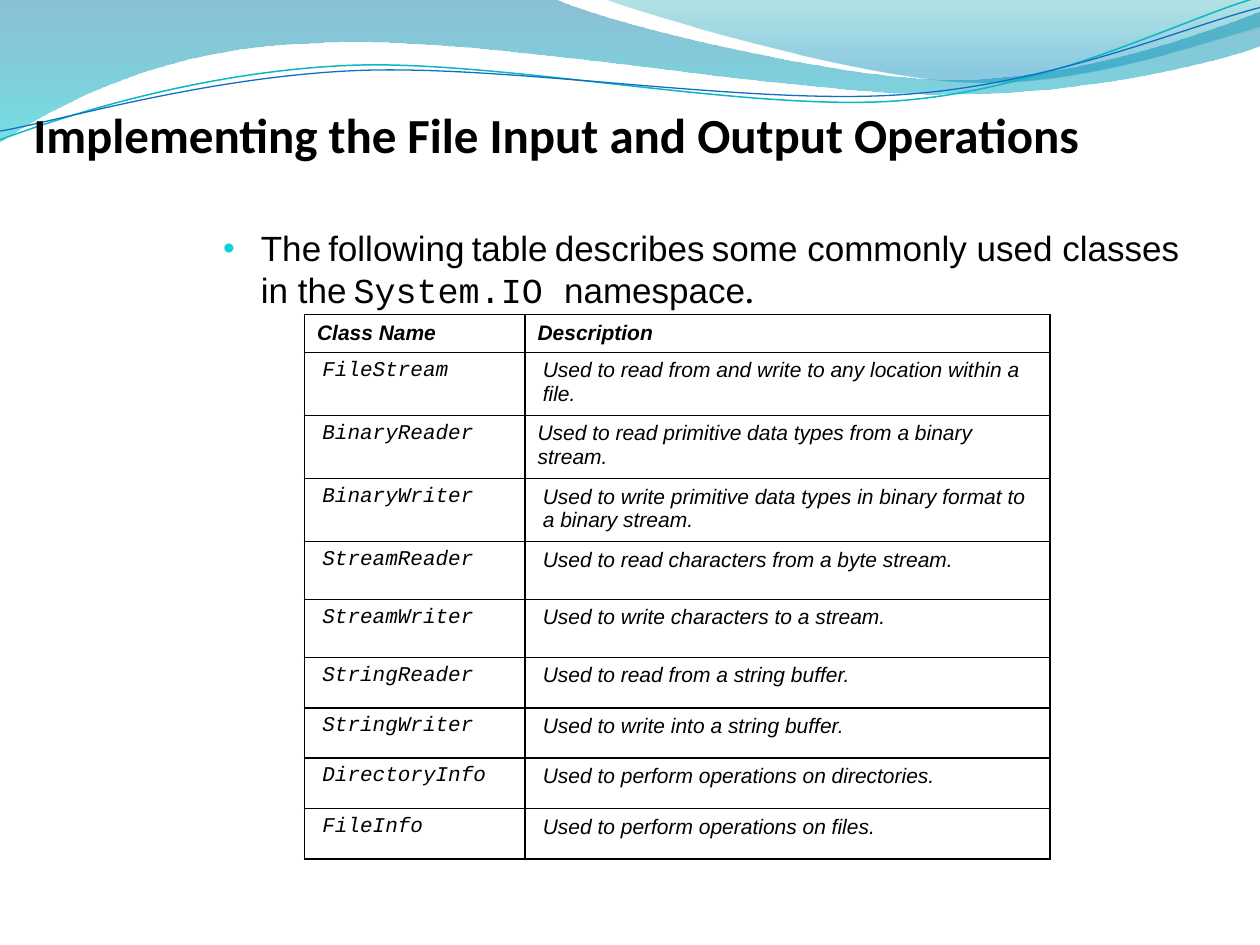
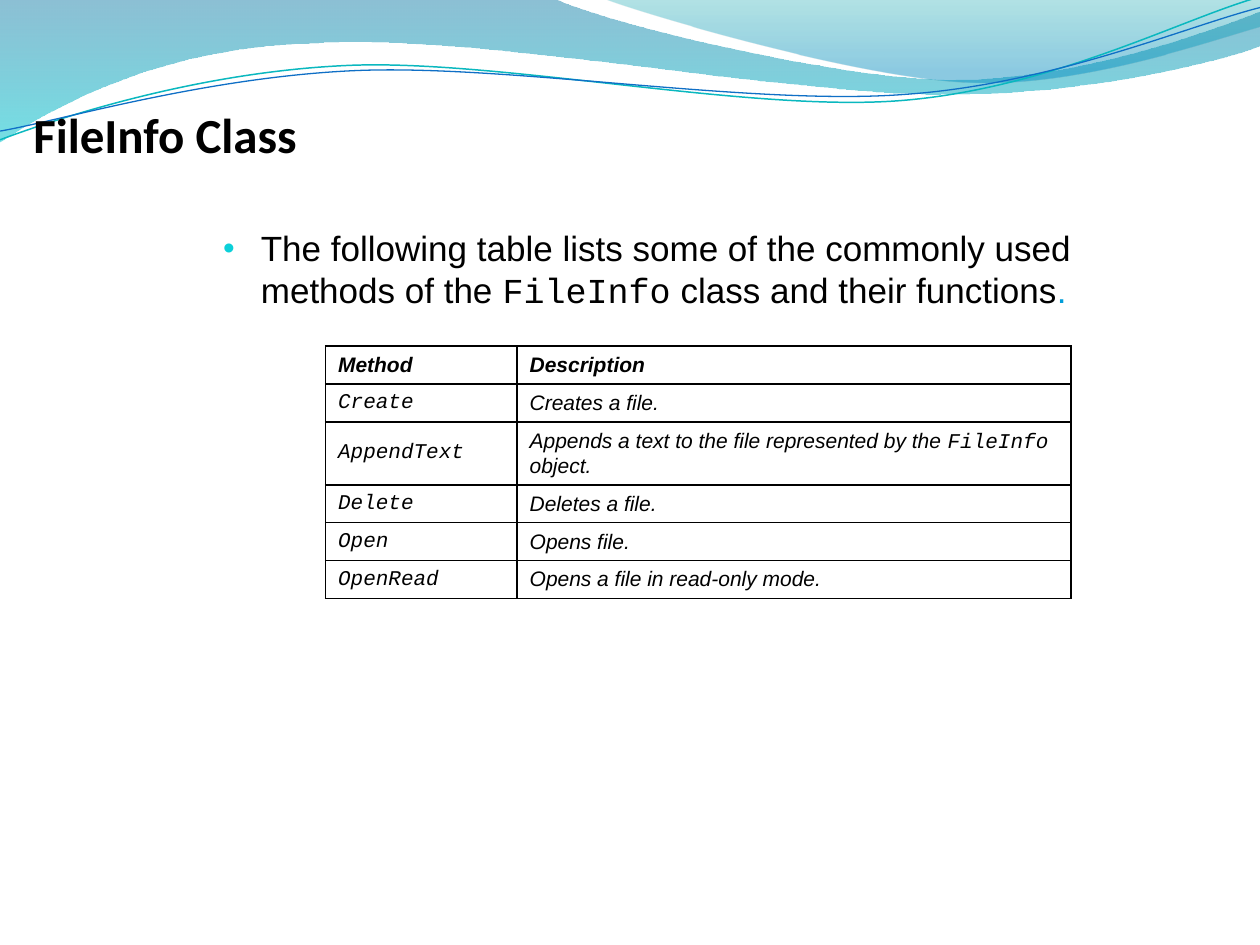
from lxml.etree import SubElement
from pptx import Presentation
from pptx.dml.color import RGBColor
from pptx.enum.text import MSO_ANCHOR as Anchor
from pptx.oxml.ns import qn
from pptx.util import Pt

COLORS = {
    "text": "000000", "paper": "FFFFFF", "bullet": "0BD0D9", "accent": "009DD9",
    "teal line": "0AB8BF", "blue line": "0F6FC6",
    "wave top": "0074A1", "wave foot": "00C6CF",
    "sweep top": "00A1A9", "sweep foot": "008BBF",
}
BODY, CODE, TITLE, SERIF = "Arial", "Courier New", "Calibri", "Vollkorn"

BANDS = [
    {"start": (0, 0),
     "steps": [[(316.8, -0.7)],
               [(342.7, 12.2), (478.1, 45.4), (545.8, 45.4)],
               [(614.2, 45.4), (689.8, 18.7), (720, 6.5)],
               [(720.7, 25.9)],
               [(707.8, 31.7), (626.4, 54.7), (537.1, 54)],
               [(447.8, 54), (275, 20.2), (185, 24.5)],
               [(92.9, 25.9), (33.1, 59.8), (-0.7, 81.4)]],
     "stops": [(0, "wave top", 45), (1, "wave foot", 55)]},
    {"start": (344.9, -0.7),
     "steps": [[(366.5, 7.9), (491, 44.6), (553.7, 46.8)],
               [(616.3, 49.7), (691.9, 23), (720, 15.1)],
               [(720, 0)]],
     "stops": [(0, "sweep top", 30), (0.8, "sweep foot", 45)]},
]
LINES = [
    {"start": (0, 79.9),
     "steps": [[(34.6, 67), (113.8, 41), (199.4, 37.4)],
               [(284.4, 33.8), (427, 64.1), (513.4, 57.6)],
               [(599.8, 51.1), (675.4, 10.8), (718.6, -1.4)]],
     "color": "teal line", "width": 0.85},
    {"start": (0, 74.9),
     "steps": [[(33.8, 69.1), (118.1, 43.9), (203.8, 40.3)],
               [(290.2, 36.7), (429.8, 60.5), (516.2, 54)],
               [(601.9, 48.2), (677.5, 15.1), (720, 4.3)]],
     "color": "blue line", "width": 0.75},
]

SLIDES = [
    {"title": "Implementing the File Input and Output Operations", "title width": 672,
     "intro": [("The", BODY), (" ", SERIF), ("following", BODY), (" ", SERIF),
               ("table", BODY), (" ", SERIF), ("describes", BODY), (" ", SERIF),
               ("some commonly used classes in the", BODY), (" ", SERIF),
               ("System.IO ", CODE), ("namespace", BODY), (".", SERIF)],
     "intro size": (564, 60), "intro fill": None,
     "table at": (174, 179.8), "columns": (126, 300),
     "heights": (21.6, 36, 36, 36, 33.1, 33.1, 28.8, 28.8, 28.8, 28.8),
     "anchor": Anchor.TOP, "indent": 3, "flush": {(0, 0), (0, 1), (2, 1)},
     "rows": [
         ("Class Name", "Description"),
         ("`FileStream`", "Used to read from and write to any location within a file."),
         ("`BinaryReader`", "Used to read primitive data types from a binary stream."),
         ("`BinaryWriter`", "Used to write primitive data types in binary format to a binary stream."),
         ("`StreamReader`", "Used to read characters from a byte stream."),
         ("`StreamWriter`", "Used to write characters to a stream."),
         ("`StringReader`", "Used to read from a string buffer."),
         ("`StringWriter`", "Used to write into a string buffer."),
         ("`DirectoryInfo`", "Used to perform operations on directories."),
         ("`FileInfo`", "Used to perform operations on files."),
     ]},
    {"title": "FileInfo Class", "title width": 582,
     "intro": [("The following table lists some of the commonly used methods of the ", BODY),
               ("FileInfo", CODE), (" class and their functions", BODY),
               (".", BODY, "accent")],
     "intro size": (576, 360), "intro fill": "paper",
     "table at": (186, 197.8), "columns": (109.5, 316.5),
     "heights": (21.6, 21.6, 36, 21.6, 21.6, 21.6),
     "anchor": Anchor.MIDDLE, "indent": 0, "flush": set(),
     "rows": [
         ("Method", "Description"),
         ("`Create`", "Creates a file."),
         ("`AppendText`", "Appends a text to the file represented by the `FileInfo` object."),
         ("`Delete`", "Deletes a file."),
         ("`Open`", "Opens file."),
         ("`OpenRead`", "Opens a file in read-only mode."),
     ]},
]


def rgb(name):
    return RGBColor.from_string(COLORS[name])


def add_outline(page, curve, close):
    builder = page.shapes.build_freeform(*map(Pt, curve["start"]))
    points = [point for step in curve["steps"] for point in step]
    builder.add_line_segments([(Pt(x), Pt(y)) for x, y in points], close=close)
    shape = builder.convert_to_shape()
    shape.shadow.inherit = False
    segments = iter(list(shape._element.iter(qn("a:lnTo"))))
    for step in curve["steps"]:
        first, *others = [next(segments) for _ in step]
        if others:
            first.tag = qn("a:cubicBezTo")
            for other in others:
                first.append(other[0])
                other.getparent().remove(other)
    return shape


def add_header(page):
    for band in BANDS:
        shape = add_outline(page, band, True)
        shape.line.fill.background()
        shape.fill.gradient()
        shape.fill.gradient_angle = 270
        for stop, (position, color, _) in zip(shape.fill.gradient_stops, band["stops"]):
            stop.position = position
            stop.color.rgb = rgb(color)
        for tag, (_, _, opacity) in zip(shape._element.iter(qn("a:srgbClr")), band["stops"]):
            SubElement(tag, qn("a:alpha"), val=str(opacity * 1000))
    for line in LINES:
        shape = add_outline(page, line, False)
        shape.fill.background()
        shape.line.color.rgb = rgb(line["color"])
        shape.line.width = Pt(line["width"])


def share_header(page):
    add_header(page)
    tree = page.slide_layout.shapes._spTree
    for shape in list(page.shapes):
        tree.append(shape._element)


def add_span(para, text, font, color="text", size=20, bold=False, italic=False):
    span = para.add_run()
    span.text = text
    span.font.name, span.font.size = font, Pt(size)
    span.font.bold, span.font.italic = bold, italic
    span.font.color.rgb = rgb(color)


def add_box(page, left, top, width, height):
    box = page.shapes.add_textbox(Pt(left), Pt(top), Pt(width), Pt(height))
    box.text_frame.word_wrap = True
    return box, box.text_frame.paragraphs[0]


def add_intro(page, content):
    box, para = add_box(page, 120.4, 126, *content["intro size"])
    if content["intro fill"]:
        box.fill.solid()
        box.fill.fore_color.rgb = rgb(content["intro fill"])
    para.space_before = Pt(2)
    props = para._p.get_or_add_pPr()
    props.set("marL", str(Pt(21.6)))
    props.set("indent", str(Pt(-21.6)))
    SubElement(SubElement(props, qn("a:buClr")), qn("a:srgbClr"), val=COLORS["bullet"])
    SubElement(props, qn("a:buSzPct"), val="95000")
    SubElement(props, qn("a:buFont"), typeface=BODY)
    SubElement(props, qn("a:buChar"), char="•")
    for span in content["intro"]:
        add_span(para, *span)


def add_borders(cell):
    props = cell._tc.get_or_add_tcPr()
    for place, side in enumerate(("a:lnL", "a:lnR", "a:lnT", "a:lnB")):
        border = SubElement(props, qn(side), w=str(Pt(1)))
        SubElement(SubElement(border, qn("a:solidFill")), qn("a:srgbClr"), val=COLORS["text"])
        props.insert(place, border)


def add_class_table(page, content):
    rows, columns, heights = content["rows"], content["columns"], content["heights"]
    left, top = content["table at"]
    table = page.shapes.add_table(len(rows), len(columns), Pt(left), Pt(top),
                                  Pt(sum(columns)), Pt(sum(heights))).table
    table.first_row = table.horz_banding = False
    for column, width in zip(table.columns, columns):
        column.width = Pt(width)
    for row, height in zip(table.rows, heights):
        row.height = Pt(height)
    for r, row in enumerate(rows):
        for c, text in enumerate(row):
            cell = table.cell(r, c)
            cell.fill.background()
            cell.vertical_anchor = content["anchor"]
            add_borders(cell)
            para = cell.text_frame.paragraphs[0]
            if (r, c) not in content["flush"]:
                para._p.get_or_add_pPr().set("marL", str(Pt(content["indent"])))
            for index, part in enumerate(text.split("`")):
                if part:
                    add_span(para, part, CODE if index % 2 else BODY,
                             size=12, bold=r == 0, italic=True)


def main():
    deck = Presentation()
    deck.slide_width, deck.slide_height = Pt(720), Pt(540)
    blank = deck.slide_layouts[6]
    for number, content in enumerate(SLIDES):
        page = deck.slides.add_slide(blank)
        if number == 0:
            share_header(page)
        add_intro(page, content)
        _, para = add_box(page, 12, 56, content["title width"], 41)
        add_span(para, content["title"], TITLE, size=28, bold=True)
        add_class_table(page, content)
    deck.save("out.pptx")


if __name__ == "__main__":
    main()
